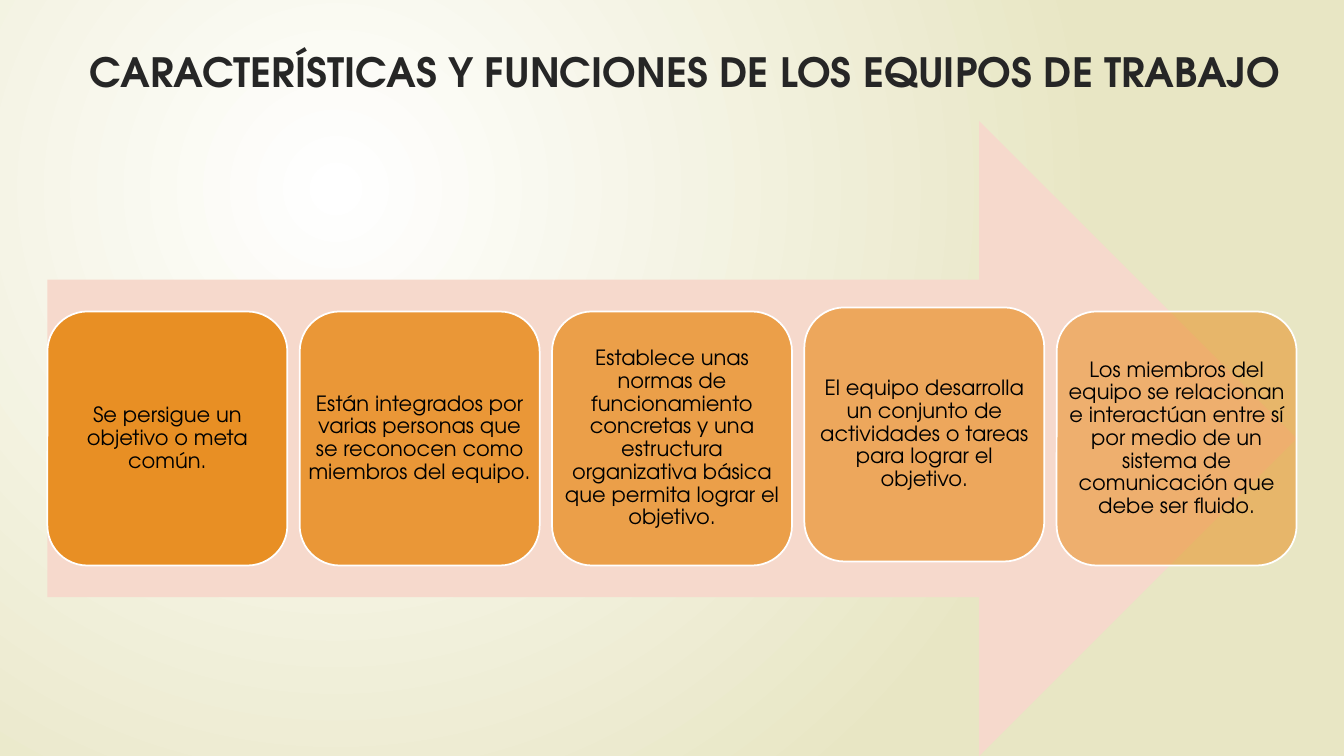
from lxml.etree import SubElement
from pptx import Presentation
from pptx.dml.color import RGBColor
from pptx.enum.shapes import MSO_SHAPE as Shape
from pptx.enum.text import MSO_ANCHOR as Anchor, PP_ALIGN as Align
from pptx.oxml.ns import qn
from pptx.util import Inches, Pt

FONT = "TeX Gyre Adventor"
TITLE = "CARACTERÍSTICAS Y FUNCIONES DE LOS EQUIPOS DE TRABAJO"
FEATURES = [
    "Se persigue un objetivo o meta común.",
    "Están integrados por varias personas que se reconocen como miembros del equipo.",
    "Establece unas normas de funcionamiento concretas y una estructura "
    "organizativa básica que permita lograr el objetivo.",
    "El equipo desarrolla un conjunto de actividades o tareas para lograr el objetivo.",
    "Los miembros del equipo se relacionan e interactúan entre sí por medio de un "
    "sistema de comunicación que debe ser fluido.",
]
RAISED_CARD = 3


def color(hex_code):
    """Return the colour for a hex string."""
    return RGBColor.from_string(hex_code)


def paint_background(slide):
    """Fill the background with an off-centre radial gradient."""
    fill = slide.background.fill
    fill.gradient()
    for stop, position, shade in zip(fill.gradient_stops, (0, 1), ("FFFFFF", "E8E6C4")):
        stop.position = position
        stop.color.rgb = color(shade)
    gradient = slide.element.find(".//" + qn("a:gradFill"))
    gradient.remove(gradient.find(qn("a:lin")))
    path = SubElement(gradient, qn("a:path"), {"path": "circle"})
    SubElement(path, qn("a:fillToRect"), l="50000", t="50000", r="100000", b="100000")


def write(frame, wording, size, shade, anchor, bold=False):
    """Put one centred, wrapped paragraph into a text frame."""
    frame.text = wording
    frame.word_wrap = True
    frame.vertical_anchor = anchor
    paragraph = frame.paragraphs[0]
    paragraph.alignment = Align.CENTER
    font = paragraph.runs[0].font
    font.name, font.size, font.bold = FONT, Pt(size), bold
    font.color.rgb = color(shade)
    return paragraph


def place_title(slide, left, top, width, height):
    """Move the title placeholder to its box and write the heading."""
    title = slide.shapes.title
    title.left, title.top = Inches(left), Inches(top)
    title.width, title.height = Inches(width), Inches(height)
    write(title.text_frame, TITLE, 28.8, "262626", Anchor.TOP, bold=True)


def add_plain(slide, kind, box, shade):
    """Add a shadowless shape with a solid fill."""
    shape = slide.shapes.add_shape(kind, *box)
    shape.shadow.inherit = False
    shape.fill.solid()
    shape.fill.fore_color.rgb = color(shade)
    return shape


def add_card(slide, left, top, width, height, wording, opacity):
    """Add a translucent rounded card with its wording on top."""
    box = [Inches(length) for length in (left, top, width, height)]
    card = add_plain(slide, Shape.ROUNDED_RECTANGLE, box, "E78712")
    SubElement(card.element.spPr.find(".//" + qn("a:srgbClr")), qn("a:alpha"),
               val=str(opacity * 1000))
    card.line.color.rgb = color("FFFFFF")
    card.line.width = Pt(1.25)
    frame = slide.shapes.add_textbox(*box).text_frame
    frame.margin_left = frame.margin_right = Inches(0.06)
    frame.margin_top = frame.margin_bottom = Inches(0.06)
    write(frame, wording, 15, "000000", Anchor.MIDDLE).line_spacing = 0.9


def add_process(slide, left, top, width, height):
    """Draw the arrow in its box and the row of cards across it."""
    box = [Inches(length) for length in (left, top, width, height)]
    arrow = add_plain(slide, Shape.RIGHT_ARROW, box, "F6D9CC")
    arrow.line.fill.background()
    card_width, card_height = 2.38, 0.4 * height
    step = (width - card_width) / (len(FEATURES) - 1)
    card_top = top + (height - card_height) / 2
    for index, feature in enumerate(FEATURES):
        lift = 0.04 if index == RAISED_CARD else 0
        add_card(slide, left + index * step, card_top - lift,
                 card_width, card_height, feature, 90 - 10 * index)


def main():
    """Build and save the slide."""
    deck = Presentation()
    deck.slide_width, deck.slide_height = Inches(13.33), Inches(7.5)
    slide = deck.slides.add_slide(deck.slide_layouts[5])
    paint_background(slide)
    place_title(slide, 0.68, 0.42, 12.23, 1.45)
    add_process(slide, 0.47, 1.2, 12.39, 6.3)
    deck.save("out.pptx")


if __name__ == "__main__":
    main()
